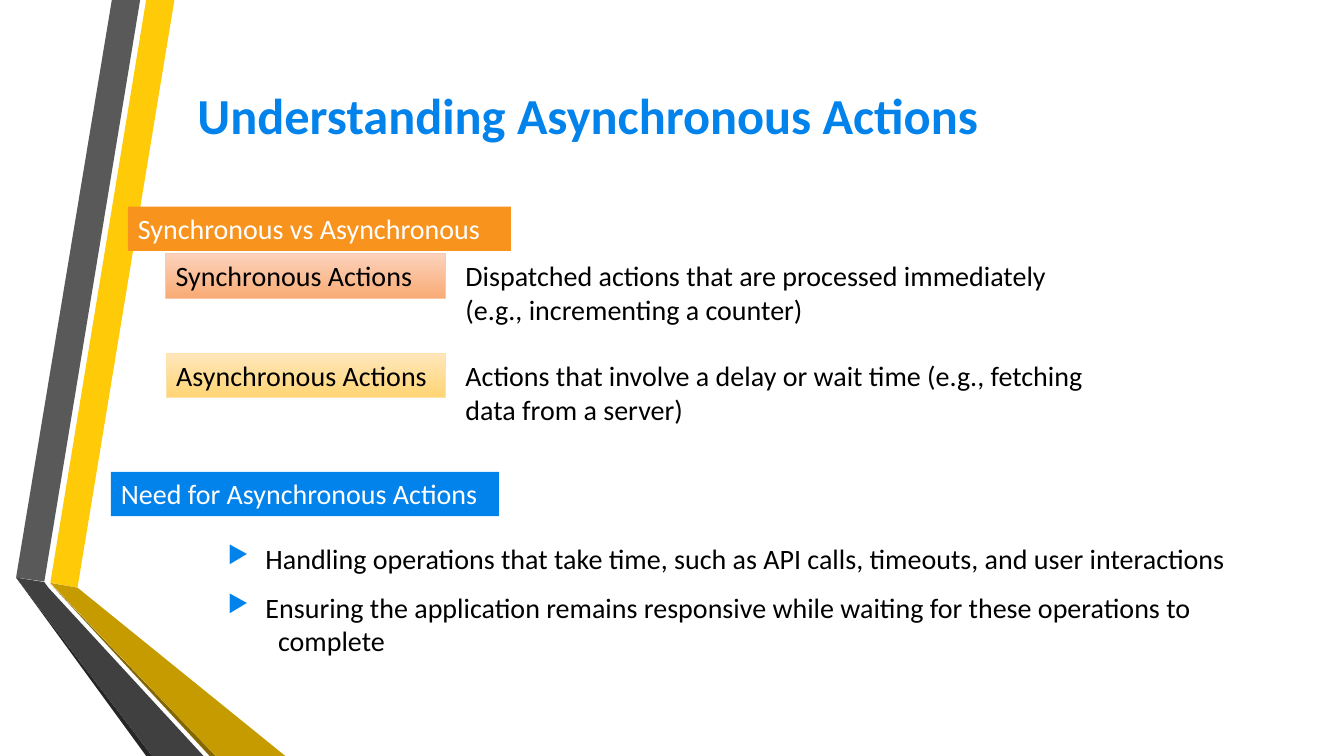
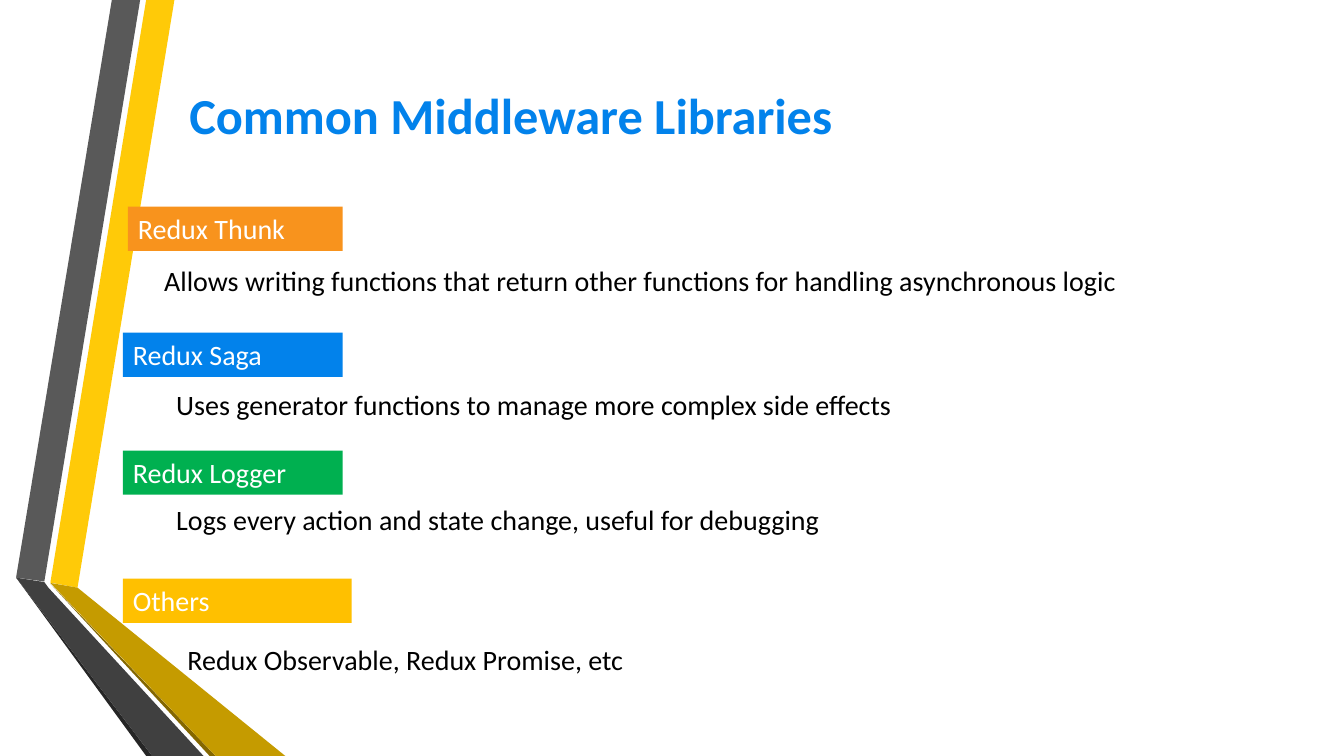
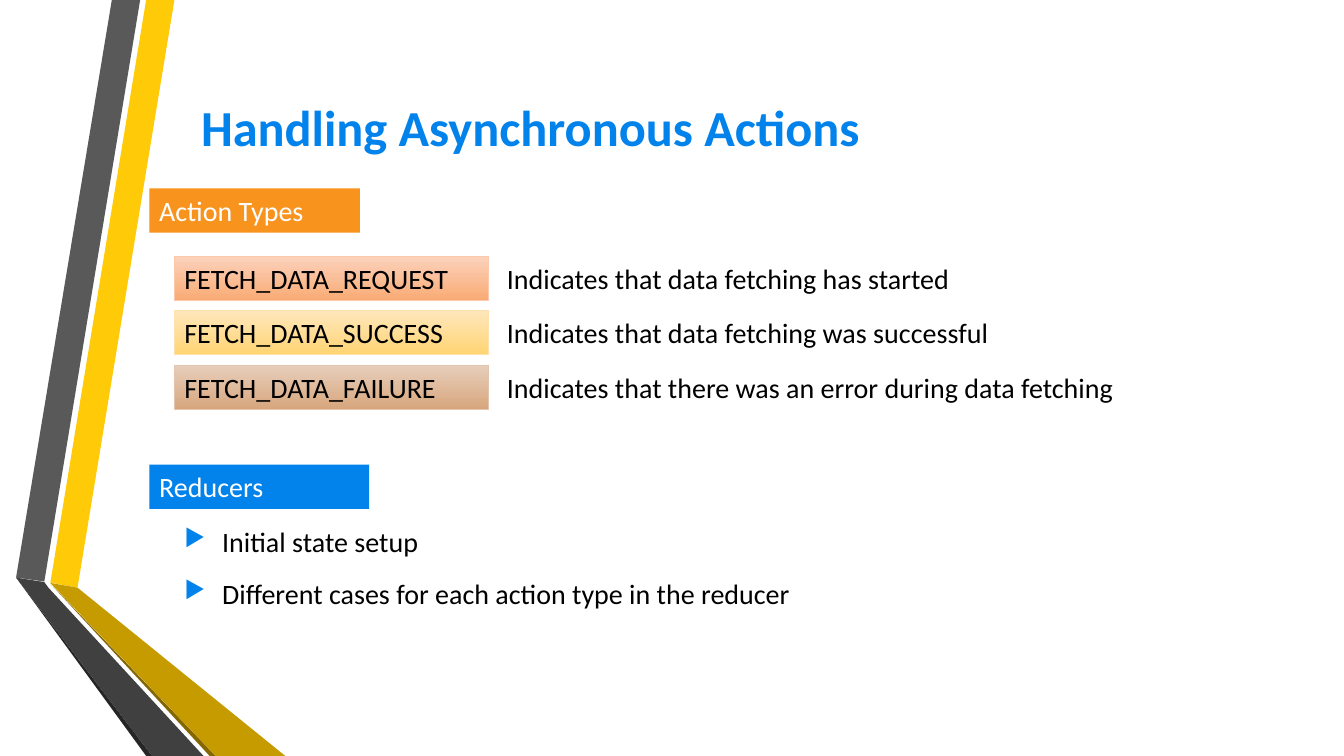
from lxml import etree
from pptx import Presentation
from pptx.dml.color import RGBColor
from pptx.enum.shapes import MSO_SHAPE
from pptx.enum.text import MSO_ANCHOR, MSO_AUTO_SIZE, PP_ALIGN
from pptx.oxml.ns import qn
from pptx.util import Pt

RECTANGLE = MSO_SHAPE.RECTANGLE
MIDDLE, TOP = MSO_ANCHOR.MIDDLE, MSO_ANCHOR.TOP
CENTER, LEFT = PP_ALIGN.CENTER, PP_ALIGN.LEFT
GROW = MSO_AUTO_SIZE.SHAPE_TO_FIT_TEXT
FIXED = MSO_AUTO_SIZE.NONE

THEME = {
    "title": {"name": "Calibri", "size": Pt(36), "bold": True, "color": "0282EB"},
    "heading": {"name": "Calibri", "size": Pt(20), "color": "FFFFFF"},
    "body": {"name": "Calibri", "size": Pt(20), "color": "000000"},
    "bullet": "0282EB",
    # Solid heading fills
    "orange": "F8931D",
    "blue": "0282EB",
    "green": "00B050",
    "gold": "FFC000",
    # Tag colours: gradient top, gradient bottom, outline
    "peach": ("FCD2BC", "F9AB75", "FBC8AC"),
    "cream": ("FFE7BC", "FFD473", "FFE1AB"),
    "tan": ("E7CEBB", "D7A67D", "E3C5AF"),
}

LINE_HEIGHT = 24
BOX_PADDING = 7.6
BULLET_INDENT = 27
CONTINUATION_INDENT = 36

# Ribbon facets, from back to front
RIBBON = [
    ("FFCA08", [(36, 416.2), (55.4, 419.8), (124.6, 0), (104.4, 0)]),
    ("595959", [(100.1, 0), (79.9, 0), (11.5, 412.6), (31.7, 415.4)]),
    ("262626", [(11.5, 412.6), (104.4, 540), (108.7, 540)]),
    ("846700", [(36, 416.9), (149.8, 540), (154.1, 540)]),
    ("C59B00", [(36, 416.4), (154.1, 540), (203.8, 540), (55.4, 419.8)]),
    ("404040", [(145.4, 540), (34.6, 419.8), (31.7, 415.8), (11.5, 412.6), (108.7, 540)]),
]

# Each slide: title (left, top, width, text), then
# items (style, left, top, width, lines)
understanding = {
    "title": (118.8, 53.3, 602.6, "Understanding Asynchronous Actions"),
    "items": [
        ("orange", 91.4, 147.6, 273.6, ["Synchronous vs Asynchronous"]),
        ("peach", 118.4, 181.4, 200, ["Synchronous Actions"]),
        ("body", 325.4, 181.4, 560, ["Dispatched actions that are processed immediately",
                                     "(e.g., incrementing a counter)"]),
        ("cream", 118.8, 252.5, 199.6, ["Asynchronous Actions"]),
        ("body", 325.4, 252.5, 625.7, ["Actions that involve a delay or wait time (e.g., fetching",
                                       "data from a server)"]),
        ("blue", 79.2, 337, 277.2, ["Need for Asynchronous Actions"]),
        ("bullet", 155.5, 383, 743, [
            "Handling operations that take time, such as API calls, timeouts, and user interactions"]),
        ("bullet", 155.5, 418.1, 795.6, [
            "Ensuring the application remains responsive while waiting for these operations to",
            "complete"]),
    ],
}

libraries = {
    "title": (118.8, 53.3, 492.5, "Common Middleware Libraries"),
    "items": [
        ("orange", 91.4, 147.6, 153.4, ["Redux Thunk"]),
        ("body", 110.2, 184.3, 707.8, [
            "Allows writing functions that return other functions for handling asynchronous logic"]),
        ("blue", 87.8, 237.6, 157, ["Redux Saga"]),
        ("body", 118.8, 272.9, 543.6, [
            "Uses generator functions to manage more complex side effects"]),
        ("green", 87.8, 321.8, 157, ["Redux Logger"]),
        ("body", 118.8, 355.7, 492.5, ["Logs every action and state change, useful for debugging"]),
        ("gold", 87.8, 413.3, 163.4, ["Others"]),
        ("body", 126.7, 455.4, 342, ["Redux Observable, Redux Promise, etc"]),
    ],
}

handling = {
    "title": (124.6, 61.9, 509, "Handling Asynchronous Actions"),
    "items": [
        ("orange", 106.6, 134.6, 150.5, ["Action Types"]),
        ("blue", 106.6, 331.9, 157, ["Reducers"]),
        ("bullet", 124.6, 370.8, 193.7, ["Initial state setup"]),
        ("bullet", 124.6, 408.2, 460, ["Different cases for each action type in the reducer"]),
    ],
}
action_types = [
    ("peach", "FETCH_DATA_REQUEST", "Indicates that data fetching has started"),
    ("cream", "FETCH_DATA_SUCCESS", "Indicates that data fetching was successful"),
    ("tan", "FETCH_DATA_FAILURE", "Indicates that there was an error during data fetching"),
]
for row, (style, action_type, meaning) in enumerate(action_types):
    row_top = 182.9 + 39 * row
    handling["items"] += [
        (style, 124.6, row_top, 224.6, [action_type]),
        ("body", 355, row_top, 460, [meaning]),
    ]


def write_lines(shape, lines, text_format, anchor=TOP, alignment=LEFT, size_mode=GROW, bulleted=False):
    frame = shape.text_frame
    frame.word_wrap = True
    frame.auto_size = size_mode
    frame.vertical_anchor = anchor
    for index, line in enumerate(lines):
        paragraph = frame.paragraphs[0] if index == 0 else frame.add_paragraph()
        if bulleted:
            properties = paragraph._p.get_or_add_pPr()
            if index == 0:
                properties.set("marL", str(Pt(BULLET_INDENT)))
                properties.set("indent", str(-Pt(BULLET_INDENT)))
                bullet_color = etree.SubElement(properties, qn("a:buClr"))
                etree.SubElement(bullet_color, qn("a:srgbClr"), val=THEME["bullet"])
                etree.SubElement(properties, qn("a:buSzPct"), val="85000")
                etree.SubElement(properties, qn("a:buChar"), char="▶")
            else:
                properties.set("marL", str(Pt(CONTINUATION_INDENT)))
                properties.set("indent", "0")
        paragraph.alignment = alignment
        run = paragraph.add_run()
        run.text = line
        for attribute, value in text_format.items():
            if attribute == "color":
                run.font.color.rgb = RGBColor.from_string(value)
            else:
                setattr(run.font, attribute, value)


def fill_shape(shape, colors):
    shape.shadow.inherit = False
    if isinstance(colors, str):
        shape.fill.solid()
        shape.fill.fore_color.rgb = RGBColor.from_string(colors)
        shape.line.fill.background()
        return
    *stop_colors, outline = colors
    shape.fill.gradient()
    shape.fill.gradient_angle = 270
    for stop, color in zip(shape.fill.gradient_stops, stop_colors):
        stop.color.rgb = RGBColor.from_string(color)
    shape.line.color.rgb = RGBColor.from_string(outline)
    shape.line.width = Pt(0.75)


presentation = Presentation()
presentation.slide_width = Pt(960)
presentation.slide_height = Pt(540)
blank_layout = presentation.slide_layouts[6]

for content in (understanding, libraries, handling):
    slide = presentation.slides.add_slide(blank_layout)

    # Ribbon on the left
    for color, points in RIBBON:
        start, *corners = [(Pt(x), Pt(y)) for x, y in points]
        builder = slide.shapes.build_freeform(*start)
        builder.add_line_segments(corners, close=True)
        fill_shape(builder.convert_to_shape(), color)

    # Title
    left, top, width, title = content["title"]
    title_box = slide.shapes.add_textbox(Pt(left), Pt(top), Pt(width), Pt(56.2))
    write_lines(title_box, [title], THEME["title"], MIDDLE, CENTER, FIXED)

    # Headings, tags, descriptions and bullets
    for style, left, top, width, lines in content["items"]:
        bounds = Pt(left), Pt(top), Pt(width), Pt(LINE_HEIGHT * len(lines) + BOX_PADDING)
        if style in ("body", "bullet"):
            shape = slide.shapes.add_textbox(*bounds)
            write_lines(shape, lines, THEME["body"], bulleted=style == "bullet")
        else:
            shape = slide.shapes.add_shape(RECTANGLE, *bounds)
            fill_shape(shape, THEME[style])
            is_heading = isinstance(THEME[style], str)
            write_lines(shape, lines, THEME["heading" if is_heading else "body"])

presentation.save("out.pptx")
